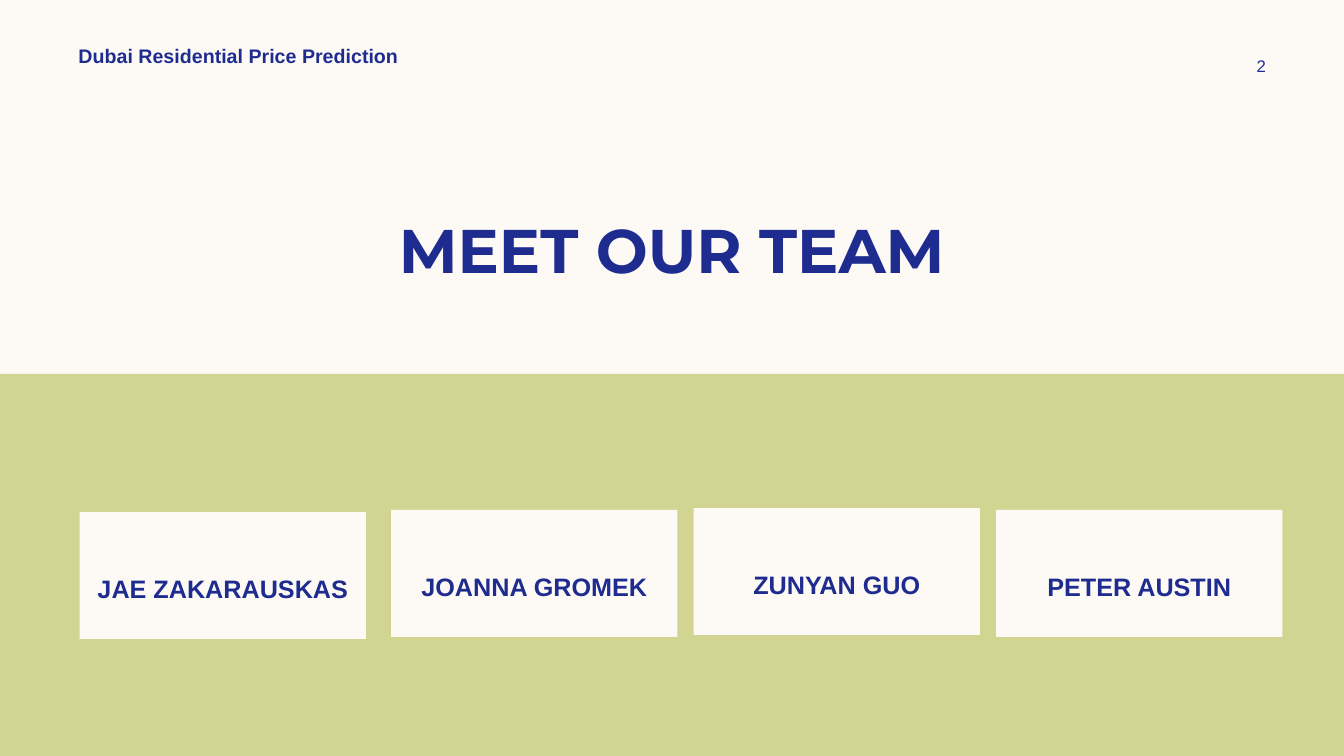
from dataclasses import dataclass

from pptx import Presentation
from pptx.dml.color import RGBColor
from pptx.enum.shapes import MSO_SHAPE
from pptx.enum.text import MSO_ANCHOR, PP_ALIGN
from pptx.util import Inches, Pt

HEADER = "Dubai Residential Price Prediction"
PAGE_NUMBER = "2"
TITLE = "MEET OUR TEAM"
TEAM = [
    ("JAE ZAKARAUSKAS", 0.79, 5.08),
    ("JOANNA GROMEK", 3.88, 5.06),
    ("ZUNYAN GUO", 6.88, 5.04),
    ("PETER AUSTIN", 9.88, 5.06),
]
CARD_WIDTH, CARD_HEIGHT = 2.84, 1.26


@dataclass(frozen=True)
class Theme:
    cream: RGBColor = RGBColor(0xFD, 0xFA, 0xF6)
    green: RGBColor = RGBColor(0xD2, 0xD5, 0x92)
    navy: RGBColor = RGBColor(0x1F, 0x2C, 0x8F)
    title_font: str = "Montserrat"
    body_font: str = "Arial"
    title_size: int = 44
    name_size: int = 18
    header_size: int = 14
    number_size: int = 12


THEME = Theme()


def add_panel(slide, box, color):
    shape = slide.shapes.add_shape(MSO_SHAPE.RECTANGLE, *map(Inches, box))
    shape.shadow.inherit = False
    shape.fill.solid()
    shape.fill.fore_color.rgb = color
    shape.line.fill.background()
    return shape


def write_text(shape, text, size, font=THEME.body_font, bold=True,
               align=PP_ALIGN.CENTER, margins=(0.1, 0.05, 0.1, 0.05)):
    frame = shape.text_frame
    frame.word_wrap = True
    frame.vertical_anchor = MSO_ANCHOR.MIDDLE
    (frame.margin_left, frame.margin_top,
     frame.margin_right, frame.margin_bottom) = map(Inches, margins)
    paragraph = frame.paragraphs[0]
    paragraph.text = text
    paragraph.alignment = align
    paragraph.font.name = font
    paragraph.font.size = Pt(size)
    paragraph.font.bold = bold
    paragraph.font.color.rgb = THEME.navy


def add_text(slide, box, text, size, **text_format):
    shape = slide.shapes.add_textbox(*map(Inches, box))
    write_text(shape, text, size, **text_format)


def main():
    presentation = Presentation()
    presentation.slide_width = Inches(13.33)
    presentation.slide_height = Inches(7.5)
    slide = presentation.slides.add_slide(presentation.slide_layouts[6])
    slide.background.fill.solid()
    slide.background.fill.fore_color.rgb = THEME.cream

    add_panel(slide, (-0.03, 3.71, 13.36, 3.79), THEME.green)
    add_text(slide, (0.83, 2.05, 11.67, 0.84), TITLE, THEME.title_size,
             font=THEME.title_font)
    add_text(slide, (11.97, 0.5, 1.08, 0.3), PAGE_NUMBER, THEME.number_size,
             bold=False)
    for name, left, top in TEAM:
        card = add_panel(slide, (left, top, CARD_WIDTH, CARD_HEIGHT), THEME.cream)
        write_text(card, name, THEME.name_size, margins=(0, 0.3, 0, 0.05))
    add_text(slide, (0.68, 0.4, 3.5, 0.3), HEADER, THEME.header_size,
             align=PP_ALIGN.LEFT)

    presentation.save("out.pptx")


if __name__ == "__main__":
    main()
